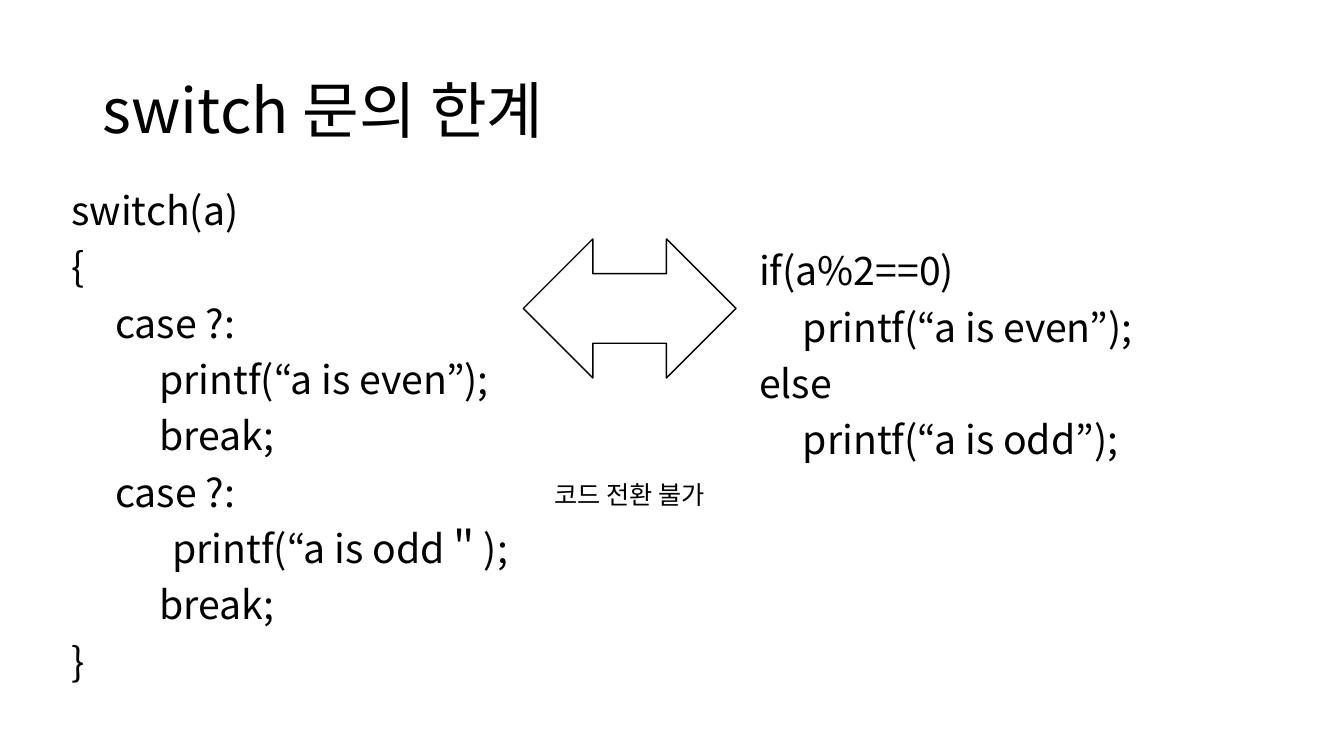
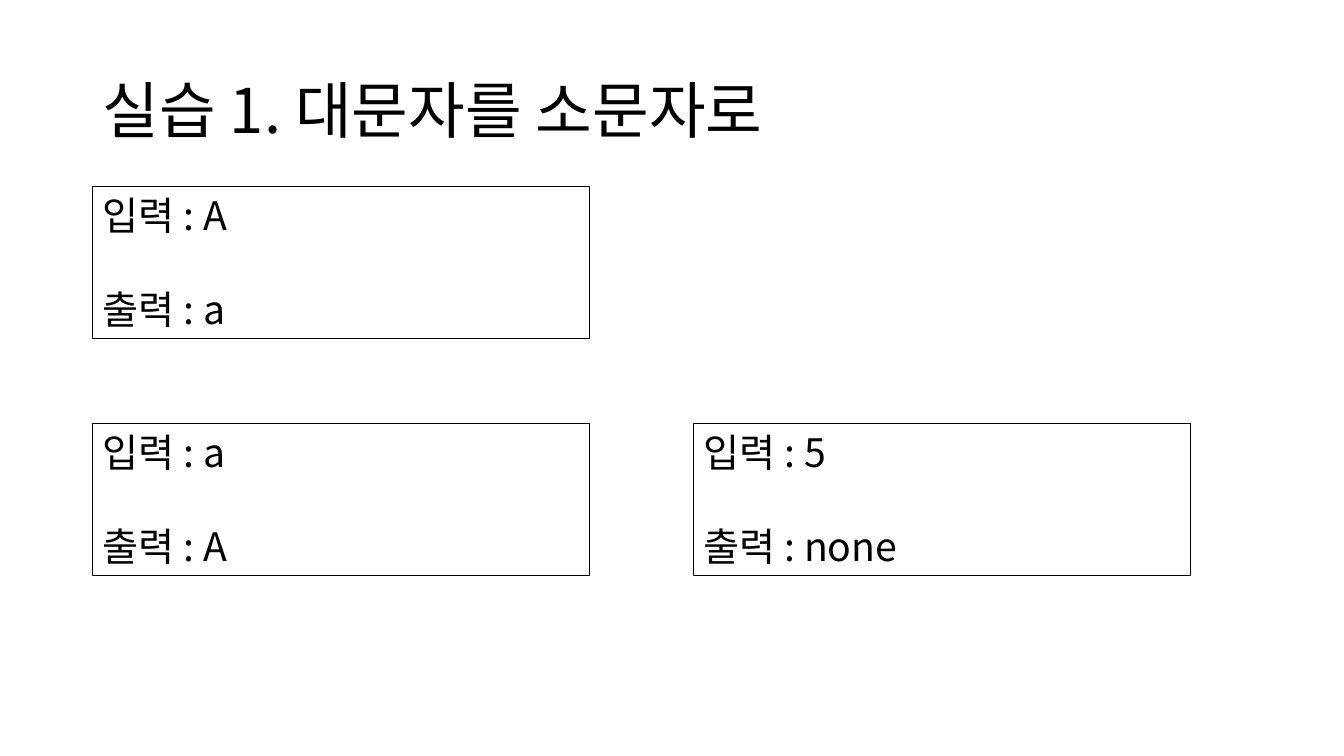
from pptx import Presentation
from pptx.dml.color import RGBColor
from pptx.enum.shapes import MSO_SHAPE as Shape
from pptx.enum.text import MSO_ANCHOR as Anchor, PP_ALIGN as Align
from pptx.oxml.ns import qn
from pptx.util import Inches, Pt
from lxml.etree import SubElement

COLORS = {"ink": "000000", "paper": "FFFFFF"}
FONT = "Noto Sans CJK KR"
INDENT = 0.435
CODE_TOP = 1.85
EXAMPLE_SIZE = (4.93, 1.51)

SWITCH_CODE = [
    (0, "switch(a)"),
    (0, "{"),
    (1, "case ?:"),
    (2, "printf(“a is even”);"),
    (2, "break;"),
    (1, "case ?:"),
    (2.3, "printf(“a is odd＂);"),
    (2, "break;"),
    (0, "}"),
]
IF_CODE = [
    (0, "if(a%2==0)"),
    (1, "printf(“a is even”);"),
    (0, "else"),
    (1, "printf(“a is odd”);"),
]
EXAMPLES = [(0, 0, "A", "a"), (0, 1, "a", "A"), (1, 1, "5", "none")]


def color(name):
    return RGBColor.from_string(COLORS[name])


def write(shape, lines, size=28, anchor=Anchor.TOP, align=Align.LEFT,
          line_spacing=1.0, before=0, first_before=0):
    frame = shape.text_frame
    frame.word_wrap = True
    frame.vertical_anchor = anchor
    for index, (level, text) in enumerate(lines):
        paragraph = frame.paragraphs[0] if index == 0 else frame.add_paragraph()
        paragraph.alignment = align
        paragraph.line_spacing = line_spacing
        paragraph.space_before = Pt(before if index else first_before)
        paragraph._p.get_or_add_pPr().set("marL", str(Inches(level * INDENT)))
        run = paragraph.add_run()
        run.text = text
        run.font.size = Pt(size)
        run.font.name = FONT
        run.font.color.rgb = color("ink")
        SubElement(run._r.get_or_add_rPr(), qn("a:ea")).set("typeface", FONT)


def add_text(slide, box, lines, **text_format):
    write(slide.shapes.add_textbox(*map(Inches, box)), lines, **text_format)


def add_outlined(slide, kind, box, line="ink", width=1.0, fill="paper"):
    shape = slide.shapes.add_shape(kind, *map(Inches, box))
    shape.shadow.inherit = False
    if fill:
        shape.fill.solid()
        shape.fill.fore_color.rgb = color(fill)
    else:
        shape.fill.background()
    shape.line.color.rgb = color(line)
    shape.line.width = Pt(width)
    return shape


def add_titled_slide(presentation, title):
    slide = presentation.slides.add_slide(presentation.slide_layouts[6])
    add_text(slide, (0.92, 0.4, 11.5, 1.45), [(0, title)], size=44,
             anchor=Anchor.MIDDLE, line_spacing=0.9)
    return slide


def add_code(slide, box, lines):
    add_text(slide, box, lines, line_spacing=0.9, before=10, first_before=10)


def add_conversion(slide, left, top, width):
    add_outlined(slide, Shape.LEFT_RIGHT_ARROW, (left, top, width, 1.38))
    label = add_outlined(slide, Shape.RECTANGLE,
                         (left, top + 1.87, width, 1.33), line="paper")
    write(label, [(0, "코드 전환 불가")], size=18,
          anchor=Anchor.MIDDLE, align=Align.CENTER)


def add_example(slide, left, top, given, result):
    shape = add_outlined(slide, Shape.RECTANGLE, (left, top, *EXAMPLE_SIZE),
                         width=0.75, fill=None)
    write(shape, [(0, f"입력 : {given}"), (0, f"출력 : {result}")], before=33.6)


def build_limits_slide(presentation):
    slide = add_titled_slide(presentation, "switch 문의 한계")
    add_code(slide, (0.61, CODE_TOP, 6.82, 5.18), SWITCH_CODE)
    add_code(slide, (7.43, CODE_TOP + 0.6, 5.49, 4.58), IF_CODE)
    add_conversion(slide, 5.19, 2.37, 2.11)


def build_practice_slide(presentation):
    slide = add_titled_slide(presentation, "실습 1. 대문자를 소문자로")
    for column, row, given, result in EXAMPLES:
        add_example(slide, 0.92 + column * 5.96, 1.85 + row * 2.35, given, result)


def main():
    presentation = Presentation()
    presentation.slide_width = Inches(13.33)
    presentation.slide_height = Inches(7.5)
    build_limits_slide(presentation)
    build_practice_slide(presentation)
    presentation.save("out.pptx")


if __name__ == "__main__":
    main()
